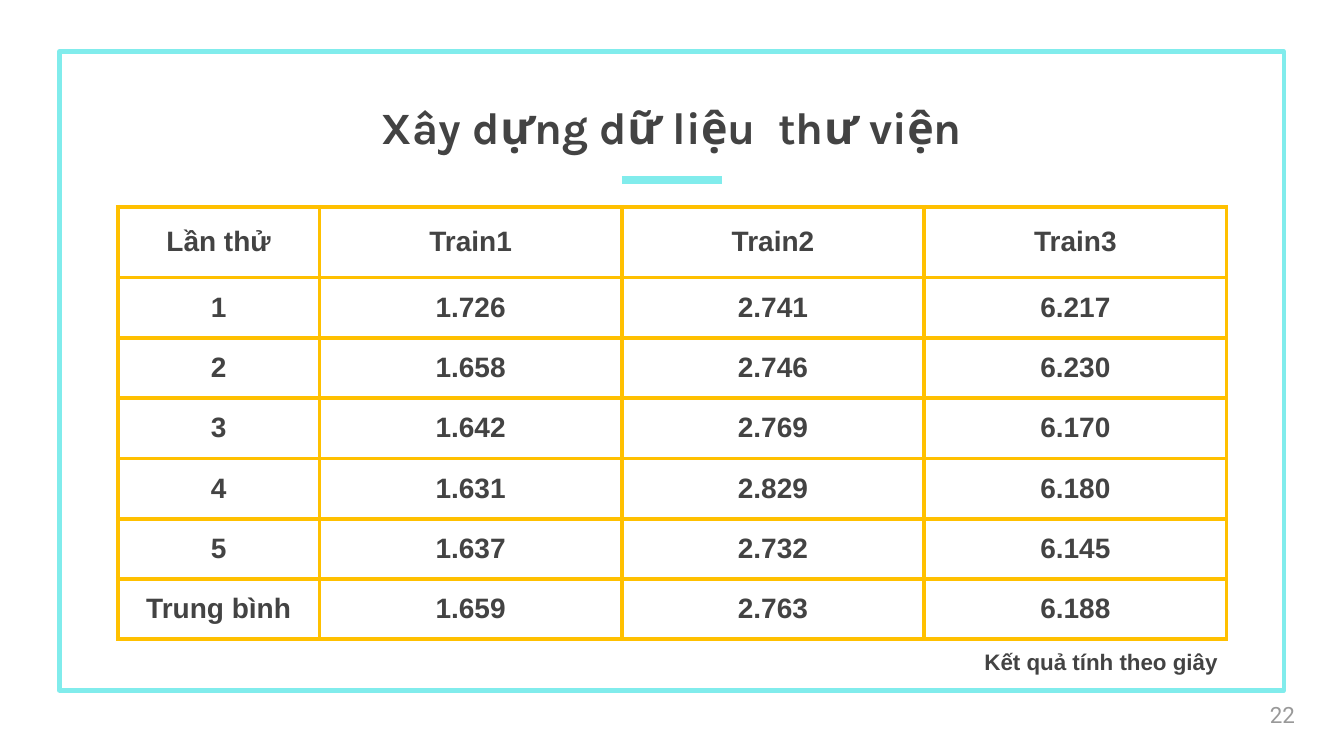
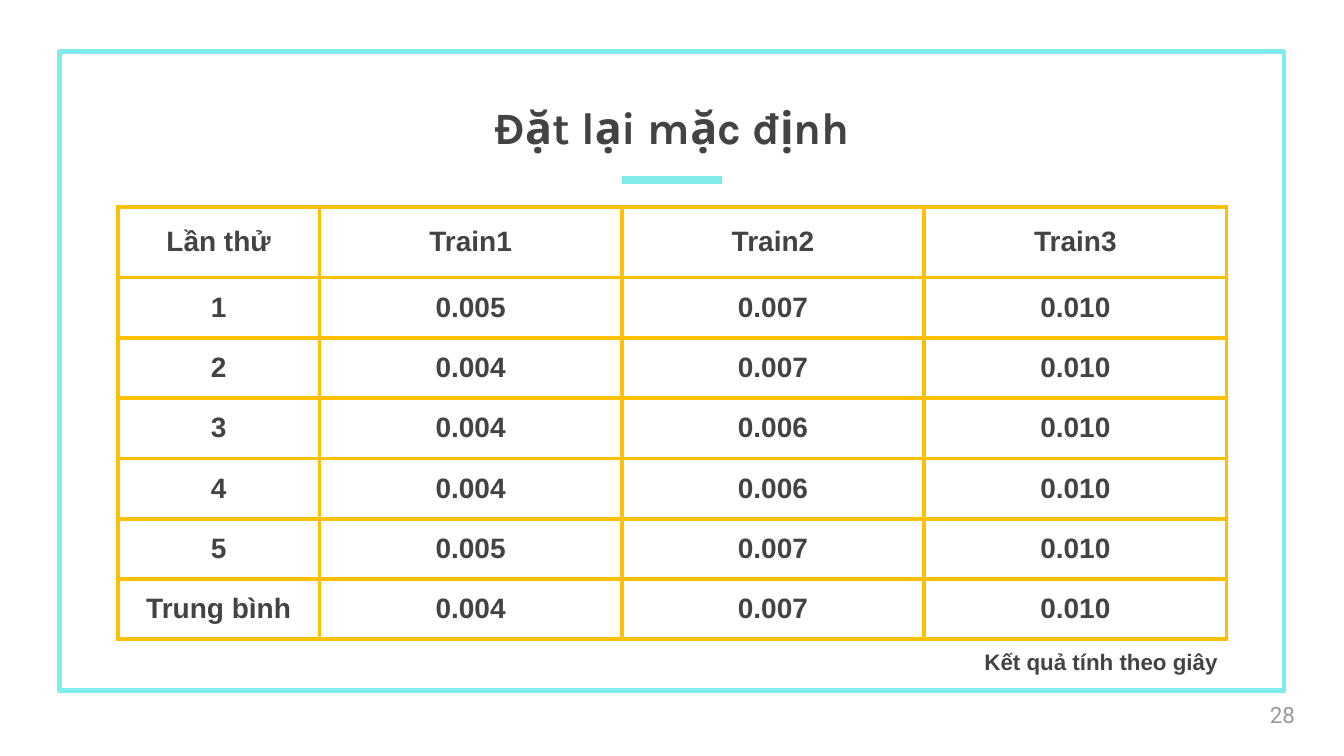
"""Build two slides of timing tables in one shared frame."""
from lxml import etree
from pptx import Presentation
from pptx.dml.color import RGBColor
from pptx.enum.shapes import MSO_CONNECTOR, MSO_SHAPE
from pptx.enum.text import MSO_ANCHOR, MSO_AUTO_SIZE, PP_ALIGN
from pptx.oxml import parse_xml
from pptx.oxml.ns import nsdecls, qn
from pptx.util import Cm, Pt

LEFT, CENTER = PP_ALIGN.LEFT, PP_ALIGN.CENTER
TOP, MIDDLE, BOTTOM = MSO_ANCHOR.TOP, MSO_ANCHOR.MIDDLE, MSO_ANCHOR.BOTTOM
FIXED, RECT, LINE = MSO_AUTO_SIZE.NONE, MSO_SHAPE.RECTANGLE, MSO_CONNECTOR.STRAIGHT

AQUA, GOLD, DARK, GRAY, WHITE = "81ECEC", "FFC000", "434343", "999999", "FFFFFF"
WIDE, HIGH = 33.87, 19.05
PAD = 0.33
COLS = [5.08, 7.62, 7.62, 7.62]
ROWS = [1.78] + [1.52] * 6
HEAD = ["Lần thử", "Train1", "Train2", "Train3"]
NAMES = ["1", "2", "3", "4", "5", "Trung bình"]
NOTE = "Kết quả tính theo giây"

SLIDES = [
    {
        "title": "Xây dựng dữ liệu  thư viện",
        "page": "22",
        "times": [
            ("1.726", "2.741", "6.217"),
            ("1.658", "2.746", "6.230"),
            ("1.642", "2.769", "6.170"),
            ("1.631", "2.829", "6.180"),
            ("1.637", "2.732", "6.145"),
            ("1.659", "2.763", "6.188"),
        ],
    },
    {
        "title": "Đặt lại mặc định",
        "page": "28",
        "times": [
            ("0.005", "0.007", "0.010"),
            ("0.004", "0.007", "0.010"),
            ("0.004", "0.006", "0.010"),
            ("0.004", "0.006", "0.010"),
            ("0.005", "0.007", "0.010"),
            ("0.004", "0.007", "0.010"),
        ],
    },
]


def color(code):
    return RGBColor.from_string(code)


def write(frame, text, font="Arial", size=20, ink=DARK, bold=True, align=CENTER):
    para = frame.paragraphs[0]
    para.alignment = align
    run = para.add_run()
    run.text = text
    run.font.name = font
    run.font.size = Pt(size)
    run.font.bold = bold
    run.font.color.rgb = color(ink)


def setup(frame, anchor=TOP, pad=None):
    frame.word_wrap = True
    frame.auto_size = FIXED
    frame.vertical_anchor = anchor
    if pad is not None:
        frame.margin_left = frame.margin_right = Cm(pad)
        frame.margin_top = frame.margin_bottom = Cm(pad)
    return frame


def stroke(line, width):
    line.color.rgb = color(AQUA)
    line.width = Pt(width)


def backdrop(slide):
    box = slide.shapes.add_shape(RECT, Cm(1.5), Cm(1.3), Cm(30.86), Cm(16.1))
    box.shadow.inherit = False
    box.fill.background()
    stroke(box.line, 3)
    rule = slide.shapes.add_connector(LINE, Cm(15.67), Cm(4.53), Cm(18.19), Cm(4.53))
    stroke(rule.line, 6)
    etree.SubElement(rule._element.spPr, qn("a:effectLst"))


def heading(slide, text):
    title = slide.shapes.title
    title.left, title.top = Cm(0), Cm(2.06)
    title.width, title.height = Cm(WIDE), Cm(2.13)
    write(setup(title.text_frame, BOTTOM, PAD), text, font="Karla", size=32)


def label(slide, text, area, anchor=TOP, pad=None, **style):
    box = slide.shapes.add_textbox(*map(Cm, area))
    write(setup(box.text_frame, anchor, pad), text, size=16, align=LEFT, **style)


def border(cell):
    props = cell._tc.get_or_add_tcPr()
    for side in "LRTB":
        props.append(parse_xml(
            f'<a:ln{side} {nsdecls("a")} w="{Pt(3)}"><a:solidFill>'
            f'<a:srgbClr val="{GOLD}"/></a:solidFill></a:ln{side}>'))


def grid(slide, times):
    data = [HEAD] + [[name, *row] for name, row in zip(NAMES, times)]
    area = map(Cm, (2.97, 5.21, sum(COLS), sum(ROWS)))
    table = slide.shapes.add_table(len(ROWS), len(COLS), *area).table
    for col, width in zip(table.columns, COLS):
        col.width = Cm(width)
    for line, height, texts in zip(table.rows, ROWS, data):
        line.height = Cm(height)
        for cell, text in zip(line.cells, texts):
            border(cell)
            cell.fill.solid()
            cell.fill.fore_color.rgb = color(WHITE)
            cell.vertical_anchor = MIDDLE
            write(cell.text_frame, text)


def main():
    deck = Presentation()
    deck.slide_width, deck.slide_height = Cm(WIDE), Cm(HIGH)
    for item in SLIDES:
        slide = deck.slides.add_slide(deck.slide_layouts[5])
        backdrop(slide)
        heading(slide, item["title"])
        label(slide, item["page"], (31.67, 17.27, 2.03, 1.45), MIDDLE, PAD,
              font="Roboto", ink=GRAY, bold=False)
        grid(slide, item["times"])
        label(slide, NOTE, (24.56, 16.2, 7.09, 0.94))
    deck.save("out.pptx")


if __name__ == "__main__":
    main()
